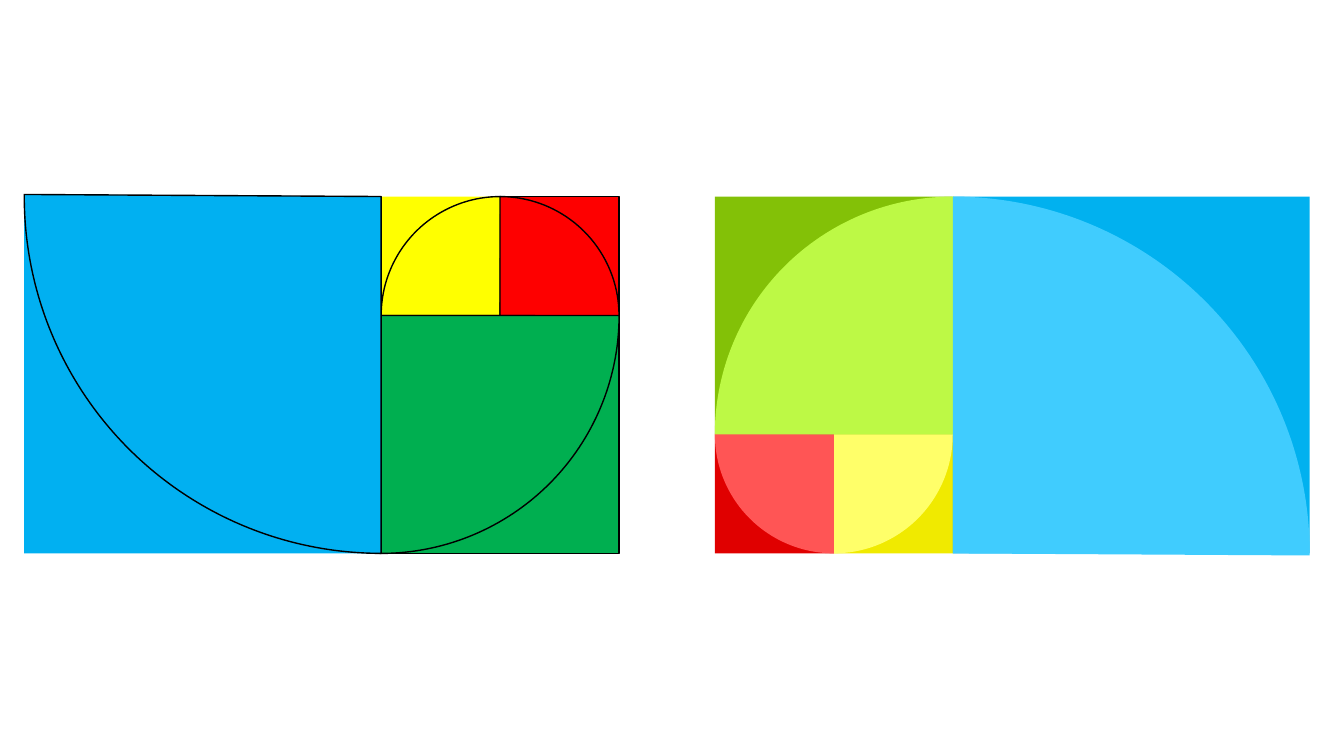
from dataclasses import dataclass

from pptx import Presentation
from pptx.dml.color import RGBColor
from pptx.enum.shapes import MSO_SHAPE as Preset
from pptx.util import Inches, Pt


@dataclass(frozen=True)
class Tile:
    name: str
    column: int
    row: int
    size: int
    center: tuple
    rotation: int
    outlined: bool


@dataclass(frozen=True)
class Theme:
    unit: float = 1.18
    top: float = 1.95
    line_color: str = "000000"
    line_width: float = 1
    sweep: float = 54.2
    yellow_sweep: float = 53.94


TILES = [
    Tile("red", 0, 2, 1, (1, 2), 90, True),
    Tile("yellow", 1, 2, 1, (1, 2), 0, False),
    Tile("green", 0, 0, 2, (2, 2), 180, True),
    Tile("blue", 2, 0, 3, (2, 3), 270, False),
]
PIE_ORDER = [TILES[1], TILES[0], *TILES[2:]]
COLUMNS, ROWS = 5, 3

SHADED_SQUARES = {"red": "E00000", "yellow": "F0EA00", "green": "83C107", "blue": "01B1EF"}
SHADED_PIES = {"red": "FF5555", "yellow": "FFFF69", "green": "BDF945", "blue": "40CCFE"}
OUTLINED_COLORS = {"red": "FE0000", "yellow": "FFFF00", "green": "00AF50", "blue": "01B0F1"}


class SpiralSlide:
    def __init__(self, presentation, theme):
        self.theme = theme
        self.slide = presentation.slides.add_slide(presentation.slide_layouts[6])

    def shape(self, group, preset, left, column, row, size, rotation, color, outlined):
        unit = self.theme.unit
        shape = group.shapes.add_shape(
            preset,
            Inches(left + column * unit),
            Inches(self.theme.top + row * unit),
            Inches(size * unit),
            Inches(size * unit),
        )
        shape.rotation = rotation
        shape.shadow.inherit = False
        shape.fill.solid()
        shape.fill.fore_color.rgb = RGBColor.from_string(color)
        if outlined:
            shape.line.color.rgb = RGBColor.from_string(self.theme.line_color)
            shape.line.width = Pt(self.theme.line_width)
        else:
            shape.line.fill.background()
        return shape

    def square(self, group, left, tile, color, turned, outlined):
        column, row = tile.column, tile.row
        if turned:
            column, row = COLUMNS - column - tile.size, ROWS - row - tile.size
        self.shape(group, Preset.RECTANGLE, left, column, row, tile.size,
                   180 if turned else 0, color, outlined and tile.outlined)

    def quarter(self, group, left, tile, color, turned, outlined):
        column, row = tile.center
        rotation = tile.rotation
        if turned:
            column, row = COLUMNS - column, ROWS - row
            rotation = (rotation + 180) % 360
        pie = self.shape(group, Preset.PIE, left, column - tile.size, row - tile.size,
                         2 * tile.size, rotation, color, outlined)
        narrow = tile.name == "yellow" and not turned
        pie.adjustments[0] = 0
        pie.adjustments[1] = self.theme.yellow_sweep if narrow else self.theme.sweep

    def spiral(self, left, square_colors, pie_colors, turned=False, outlined=False):
        group = self.slide.shapes.add_group_shape()
        for tile in TILES:
            self.square(group, left, tile, square_colors[tile.name], turned, outlined)
        for tile in PIE_ORDER:
            self.quarter(group, left, tile, pie_colors[tile.name], turned, outlined)


def main():
    presentation = Presentation()
    presentation.slide_width = Inches(13.33)
    presentation.slide_height = Inches(7.5)
    slide = SpiralSlide(presentation, Theme())
    slide.spiral(7.09, SHADED_SQUARES, SHADED_PIES)
    slide.spiral(0.24, OUTLINED_COLORS, OUTLINED_COLORS, turned=True, outlined=True)
    presentation.save("out.pptx")


if __name__ == "__main__":
    main()
